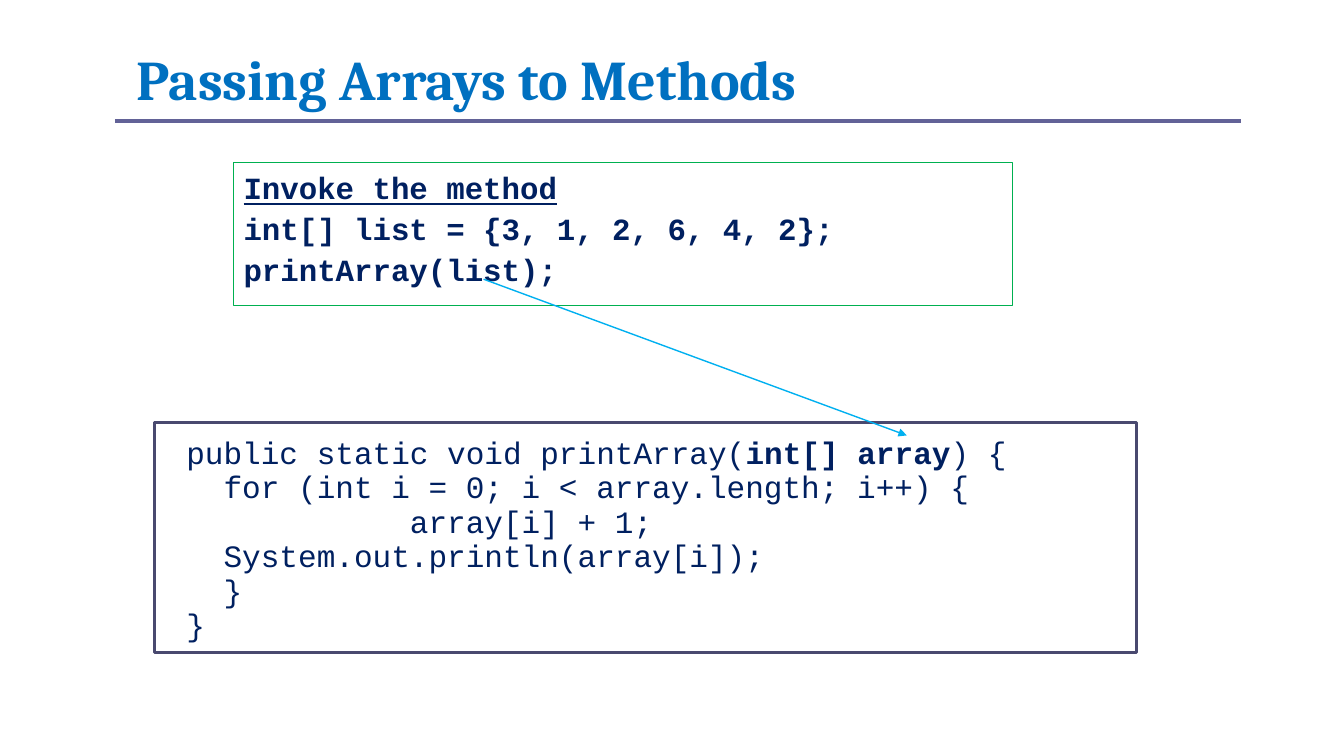
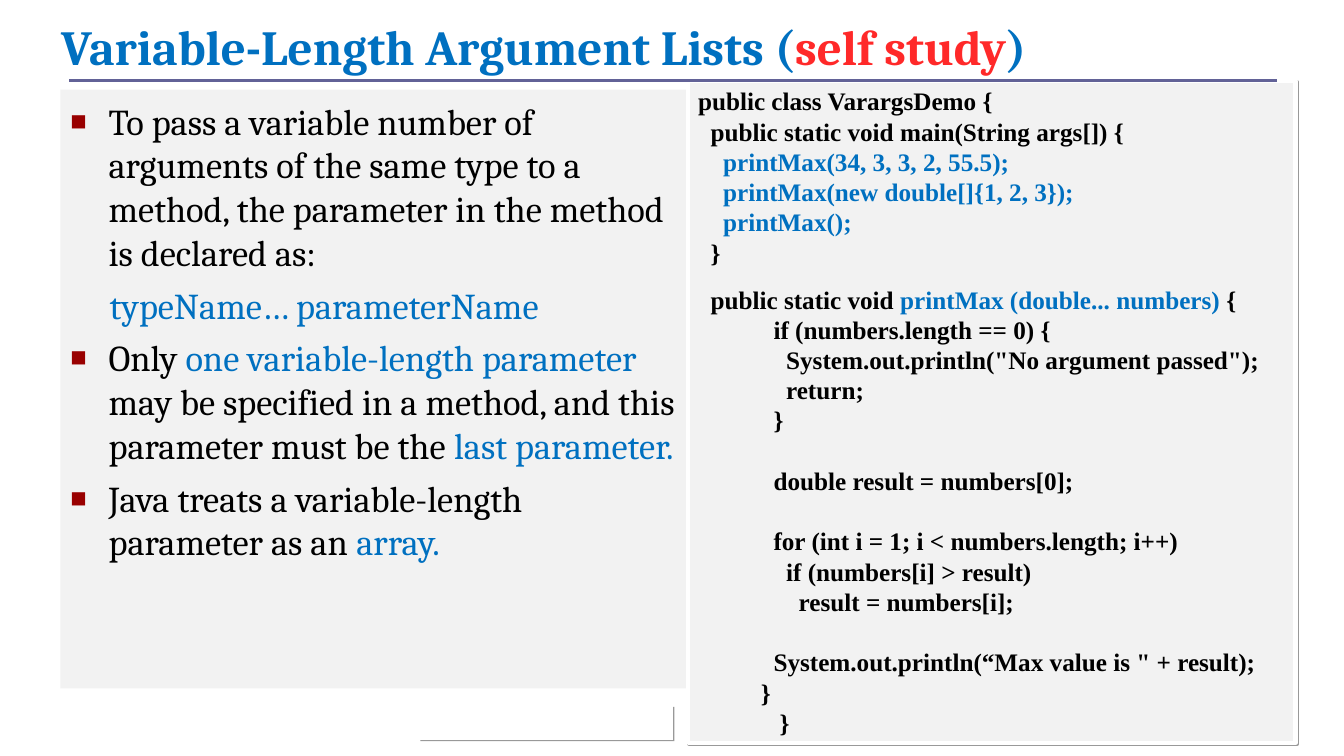
from lxml.etree import SubElement
from pptx import Presentation
from pptx.dml.color import RGBColor
from pptx.enum.shapes import MSO_CONNECTOR, MSO_SHAPE
from pptx.enum.text import MSO_ANCHOR, PP_ALIGN
from pptx.oxml.ns import qn
from pptx.util import Inches, Pt

COLORS = {
    "title": "0070C0", "rule": "626297", "navy": "002060", "green": "00B050",
    "arrow": "00B0F0", "frame": "49496F", "panel": "F2F2F2", "white": "FFFFFF",
    "black": "000000", "red": "FF2929", "bullet": "990000", "shadow": "999999",
}
LINE_HEIGHT = 1.2  # line pitch of single spacing, as a share of the font size


def color(name):
    return RGBColor.from_string(COLORS[name])


def line(*runs, **layout):
    """One paragraph: runs are strings or (string, format) pairs."""
    return runs, layout


def write_text(text_frame, lines, font="Cambria", size=18, ink="black", bold=False,
               spacing=1.0, before=0):
    """Fill a text frame; each line may override its gap, margin and bullet."""
    for index, (runs, layout) in enumerate(lines):
        paragraph = text_frame.paragraphs[0] if index == 0 else text_frame.add_paragraph()
        paragraph.alignment = PP_ALIGN.LEFT
        paragraph.line_spacing = Pt(round(size * LINE_HEIGHT * spacing, 1))
        paragraph.space_before = Pt(layout.get("before", before) if index else 0)
        set_margin(paragraph, layout.get("margin", 0), layout.get("bullet", False))
        for item in runs:
            text, override = (item, {}) if isinstance(item, str) else item
            run = paragraph.add_run()
            run.text = text
            run.font.name = font
            run.font.size = Pt(size)
            run.font.bold = override.get("bold", bold)
            run.font.underline = override.get("underline", False)
            run.font.color.rgb = color(override.get("ink", ink))


def set_margin(paragraph, margin, bullet):
    properties = paragraph._p.get_or_add_pPr()
    properties.set("marL", str(Inches(margin)))
    properties.set("indent", str(-Inches(margin) if bullet else 0))
    if bullet:
        bullet_color = SubElement(properties, qn("a:buClr"))
        SubElement(bullet_color, qn("a:srgbClr"), val=COLORS["bullet"])
        SubElement(properties, qn("a:buSzPct"), val="75000")
        SubElement(properties, qn("a:buFont"), typeface="Arial")
        SubElement(properties, qn("a:buChar"), char="■")
    else:
        SubElement(properties, qn("a:buNone"))


class Deck:
    """Holds the style and the current slide; places are percents of the slide."""

    def __init__(self):
        self.presentation = Presentation()
        self.presentation.slide_width = Inches(13.34)
        self.presentation.slide_height = Inches(7.5)
        self.slide = None

    def x(self, percent):
        return round(self.presentation.slide_width * percent / 100)

    def y(self, percent):
        return round(self.presentation.slide_height * percent / 100)

    def area(self, left, top, width, height):
        return self.x(left), self.y(top), self.x(width), self.y(height)

    def add_slide(self):
        self.slide = self.presentation.slides.add_slide(self.presentation.slide_layouts[6])

    def title(self, place, runs, size):
        text_frame = self.slide.shapes.add_textbox(*self.area(*place)).text_frame
        text_frame.word_wrap = True
        text_frame.vertical_anchor = MSO_ANCHOR.MIDDLE
        write_text(text_frame, [line(*runs)], size=size, ink="title", bold=True, spacing=0.8)

    def box(self, place, lines=(), fill=None, outline=None, width=1, shadow=False,
            inset=(0.1, 0.05), **text_format):
        shape = self.slide.shapes.add_shape(MSO_SHAPE.RECTANGLE, *self.area(*place))
        shape.shadow.inherit = False
        if fill:
            shape.fill.solid()
            shape.fill.fore_color.rgb = color(fill)
        else:
            shape.fill.background()
        if outline:
            shape.line.color.rgb = color(outline)
            shape.line.width = Pt(width)
        else:
            shape.line.fill.background()
        if shadow:
            effects = shape._element.spPr.find(qn("a:effectLst"))
            outer = SubElement(effects, qn("a:outerShdw"), dist=str(Pt(1.4)),
                               dir="2700000", algn="ctr", rotWithShape="0")
            SubElement(outer, qn("a:srgbClr"), val=COLORS["shadow"])
        if lines:
            text_frame = shape.text_frame
            text_frame.word_wrap = True
            text_frame.vertical_anchor = MSO_ANCHOR.TOP
            text_frame.margin_left, text_frame.margin_top = map(Inches, inset)
            write_text(text_frame, lines, **text_format)

    def connect(self, start, end, ink, width, arrow=False):
        connector = self.slide.shapes.add_connector(
            MSO_CONNECTOR.STRAIGHT, self.x(start[0]), self.y(start[1]),
            self.x(end[0]), self.y(end[1]))
        connector.line.color.rgb = color(ink)
        connector.line.width = Pt(width)
        if arrow:
            SubElement(connector.line._get_or_add_ln(), qn("a:tailEnd"), type="triangle")
        SubElement(connector._element.spPr, qn("a:effectLst"))

    def rule(self, left, right, top):
        self.connect((left, top), (right, top), "rule", 2.25)


def passing_arrays(deck):
    deck.add_slide()
    deck.title((9.45, 6.93, 71.59, 8.67), ["Passing Arrays to Methods"], 40)
    deck.rule(8.55, 92.35, 16)
    # Call
    deck.box((17.39, 21.47, 57.95, 18.93), [
        line(("Invoke the method", {"underline": True})),
        line("int[] list = {3, 1, 2, 6, 4, 2};"),
        line("printArray(list);"),
    ], outline="green", width=0.75, inset=(0.1, 0.1), font="Courier New", size=22,
        ink="navy", bold=True, spacing=0.9, before=5.5)
    # Method
    deck.box((11.47, 55.87, 73.09, 30.4), [
        line("public static void printArray(", ("int[] array", {"bold": True}), ") {"),
        line("  for (int i = 0; i < array.length; i++) {"),
        line("            array[i] + 1;"),
        line("  System.out.println(array[i]);"),
        line("  }"),
        line("}"),
    ], outline="frame", width=2, inset=(0.32, 0.22), font="Courier New", size=22.2,
        ink="navy", spacing=0.7, before=6)
    # Argument to parameter
    deck.connect((35.98, 36.93), (67.47, 57.6), "arrow", 1, arrow=True)


def variable_arguments(deck):
    blue = {"ink": "title"}
    point = {"margin": 0.38, "bullet": True}
    body = {"margin": 0.5}
    after_gap = {**body, "before": 21.6}
    deck.add_slide()
    # Explanation
    deck.box((4.5, 11.87, 47.08, 79.2), [
        line("To pass a variable number of arguments of the same type to a method, "
             "the parameter in the method is declared as:", **point),
        line(("typeName… parameterName", blue), margin=0.39),
        line("Only ", ("one variable-length parameter ", blue),
             "may be specified in a method, and this parameter must be the ",
             ("last parameter.", blue), **point),
        line("Java treats a variable-length parameter as an ", ("array.", blue), **point),
    ], fill="panel", inset=(0.1, 0.09), size=26, before=6.5)
    # Program
    deck.box((51.2, 10.67, 45.2, 87.6), [
        line("public class VarargsDemo {"),
        line("  public static void main(String args[]) {"),
        line(("    printMax(34, 3, 3, 2, 55.5);", blue)),
        line(("    printMax(new double[]{1, 2, 3});", blue)),
        line(("    printMax();", blue)),
        line("  }"),
        line("  public static void", (" printMax (double... numbers) ", blue), "{", before=12),
        line("    if (numbers.length == 0) {", **body),
        line("      System.out.println(\"No argument passed\");", **body),
        line("      return;", **body),
        line("    }", **body),
        line("    double result = numbers[0];", **after_gap),
        line("    for (int i = 1; i < numbers.length; i++)", **after_gap),
        line("      if (numbers[i] > result)", **body),
        line("        result = numbers[i];", **body),
        line("    System.out.println(“Max value is \" + result);", **after_gap),
        line("  }", **body),
        line("}", margin=0.81),
    ], fill="panel", outline="white", width=3, shadow=True,
        font="Times New Roman", size=18, bold=True)
    deck.box((31.18, 93.33, 18.89, 4.53), fill="white", shadow=True)
    # Heading
    deck.title((3.82, 0, 93.4, 13.73),
               ["Variable-Length Argument Lists (", ("self study", {"ink": "red"}), ")"], 35)
    deck.rule(5.17, 95.05, 10.67)


def main():
    deck = Deck()
    passing_arrays(deck)
    variable_arguments(deck)
    deck.presentation.save("out.pptx")


if __name__ == "__main__":
    main()
